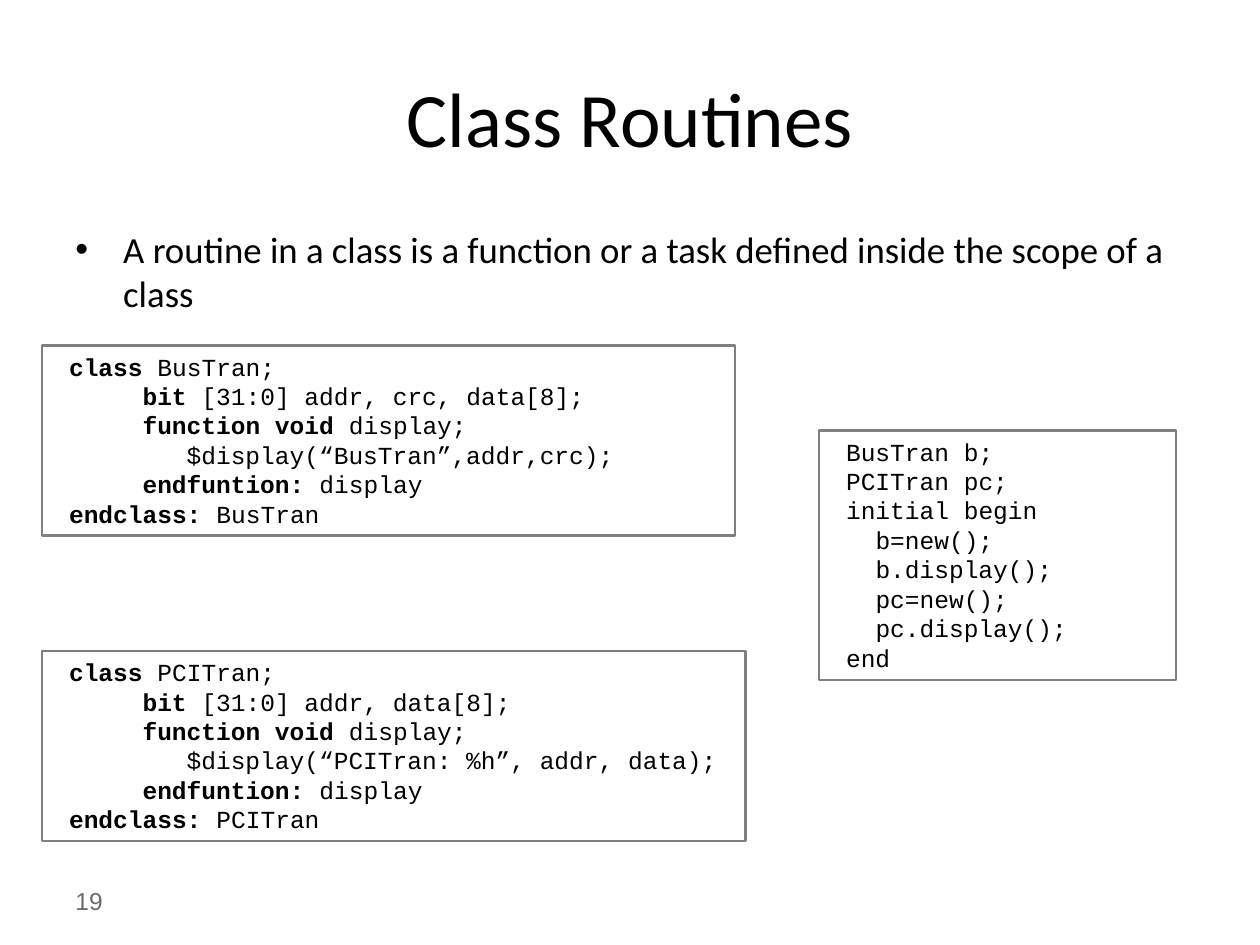
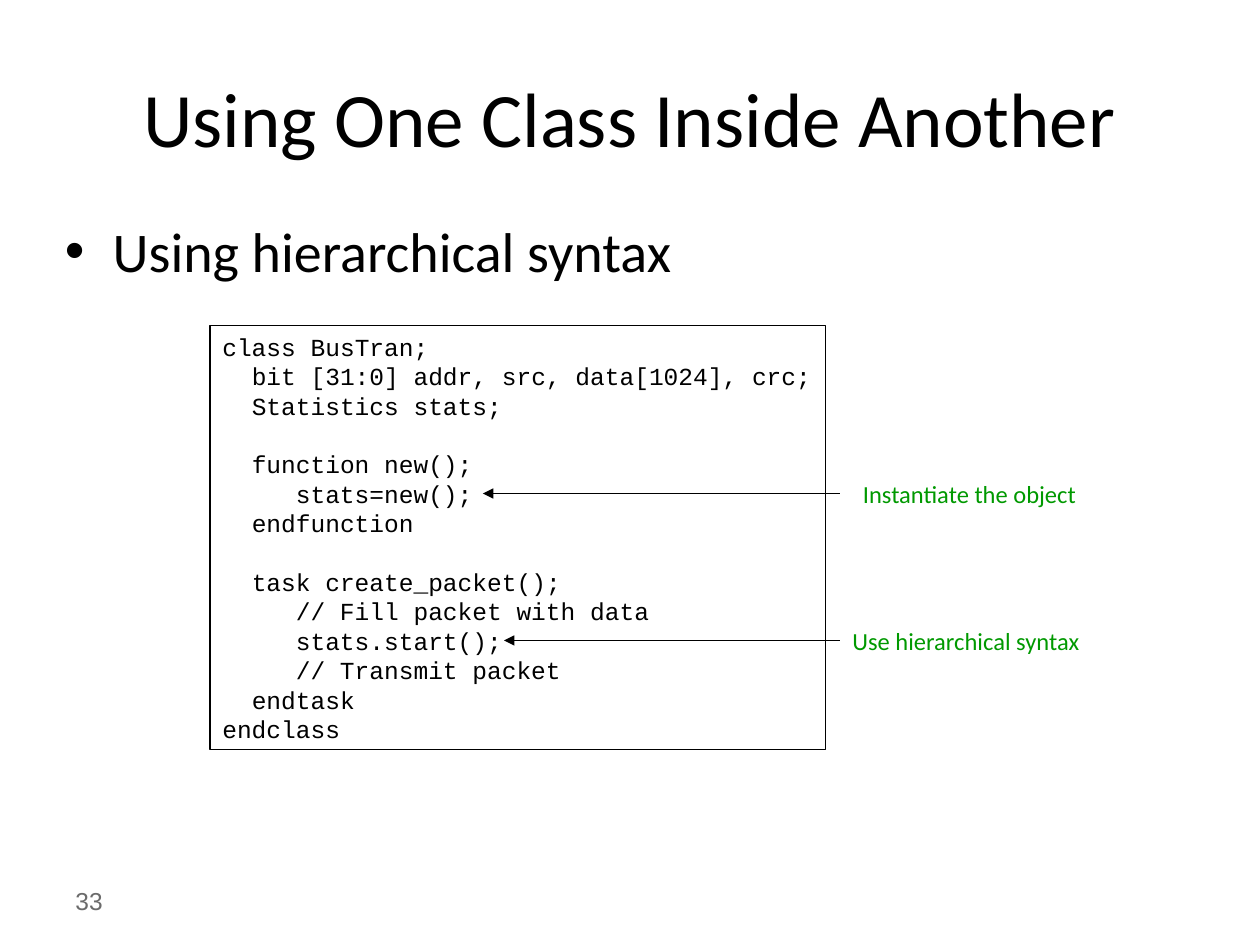
from pptx import Presentation
from pptx import util as u
from pptx.dml.color import RGBColor
from pptx.enum import shapes, text
from pptx.oxml.ns import qn
from lxml import etree

BLACK = RGBColor(0x00, 0x00, 0x00)
GRAY = RGBColor(0x80, 0x80, 0x80)
FOOTER_GRAY = RGBColor(0x6B, 0x6B, 0x6B)
GREEN = RGBColor(0x00, 0x99, 0x00)

COLS, ROWS = 120, 90
CELL = u.Inches(10) // COLS
CODE_SIZE = 14
CHAR_WIDTH = 0.6 * CODE_SIZE
CODE_LINE = 1.2 * CODE_SIZE

BUS_CLASS = [
    (1, "class", " BusTran;"),
    (6, "bit", " [31:0] addr, crc, data[8];"),
    (6, "function void", " display;"),
    (9, "", "$display(“BusTran”,addr,crc);"),
    (6, "endfuntion:", " display"),
    (1, "endclass:", " BusTran"),
]
PCI_CLASS = [
    (1, "class", " PCITran;"),
    (6, "bit", " [31:0] addr, data[8];"),
    (6, "function void", " display;"),
    (9, "", "$display(“PCITran: %h”, addr, data);"),
    (6, "endfuntion:", " display"),
    (1, "endclass:", " PCITran"),
]
TEST_CODE = [
    (1, "", "BusTran b;"),
    (1, "", "PCITran pc;"),
    (1, "", "initial begin"),
    (3, "", "b=new();"),
    (3, "", "b.display();"),
    (3, "", "pc=new();"),
    (3, "", "pc.display();"),
    (1, "", "end"),
]
STATS_CLASS = [
    (0, "", "class BusTran;"),
    (2, "", "bit [31:0] addr, src, data[1024], crc;"),
    (2, "", "Statistics stats;"),
    (2, "", "function new();"),
    (5, "", "stats=new();"),
    (2, "", "endfunction"),
    (2, "", "task create_packet();"),
    (5, "", "// Fill packet with data"),
    (5, "", "stats.start();"),
    (5, "", "// Transmit packet"),
    (2, "", "endtask"),
    (0, "", "endclass"),
]


def grid(*cells):
    return [u.Emu(round(c * CELL)) for c in cells]


def style_run(r, font, size, color, bold=False):
    r.font.name = font
    r.font.size = u.Pt(size)
    r.font.color.rgb = color
    r.font.bold = bold


def add_text(s, box, words, font, size, color, anchor=text.MSO_ANCHOR.TOP):
    sp = s.shapes.add_textbox(*grid(*box))
    tf = sp.text_frame
    tf.word_wrap = True
    tf.vertical_anchor = anchor
    tf.text = words
    style_run(tf.paragraphs[0].runs[0], font, size, color)
    return sp


def add_frame(prs, title, number):
    s = prs.slides.add_slide(prs.slide_layouts[6])
    middle = text.MSO_ANCHOR.MIDDLE
    add_text(s, (6, 83.4, 28, 4.8), number, "Arial", 14, FOOTER_GRAY, middle)
    sp = add_text(s, (6, 3.6, 108, 15), title, "Calibri", 44, BLACK, middle)
    sp.text_frame.paragraphs[0].alignment = text.PP_ALIGN.CENTER
    return s


def add_bullet(s, box, words, size):
    sp = add_text(s, box, words, "Calibri", size, BLACK)
    pPr = sp.text_frame.paragraphs[0]._p.get_or_add_pPr()
    indent = u.Inches(0.38)
    pPr.set("marL", str(indent))
    pPr.set("indent", str(-indent))
    etree.SubElement(pPr, qn("a:buFont")).set("typeface", "Arial")
    etree.SubElement(pPr, qn("a:buChar")).set("char", "•")


def add_code(s, box, lines, color=GRAY, weight=1.25, gaps=()):
    sp = s.shapes.add_shape(shapes.MSO_SHAPE.RECTANGLE, *grid(*box))
    sp.shadow.inherit = False
    sp.fill.background()
    sp.line.color.rgb = color
    sp.line.width = u.Pt(weight)
    tf = sp.text_frame
    tf.word_wrap = True
    tf.margin_right = 0
    tf.vertical_anchor = text.MSO_ANCHOR.TOP
    tf.text = "\n".join("" for _ in lines)
    for p, (indent, keyword, rest) in zip(tf.paragraphs, lines):
        p.alignment = text.PP_ALIGN.LEFT
        p._p.get_or_add_pPr().set("marL", str(u.Pt(indent * CHAR_WIDTH)))
        if rest in gaps:
            p.space_before = u.Pt(CODE_LINE)
        for words, bold in ((keyword, True), (rest, False)):
            if words:
                r = p.add_run()
                r.text = words
                style_run(r, "Courier New", CODE_SIZE, BLACK, bold)


def add_callout(s, box, words, tip):
    label = add_text(s, box, words, "Calibri", 14, GREEN)
    left, top, _, height = box
    y = top + height / 2
    arrow = s.shapes.add_connector(shapes.MSO_CONNECTOR.STRAIGHT, *grid(80, y, tip, y))
    if left == 80:
        arrow.begin_connect(label, 1)
    arrow.line.color.rgb = BLACK
    arrow.line.width = u.Pt(0.75)
    etree.SubElement(arrow.line._get_or_add_ln(), qn("a:tailEnd")).set("type", "triangle")
    etree.SubElement(arrow._element.spPr, qn("a:effectLst"))


def build_routines(prs):
    s = add_frame(prs, "Class Routines", "19")
    add_bullet(s, (6, 21, 108, 59.4),
               "A routine in a class is a function or a task defined inside the scope of a class", 21)
    add_code(s, (4, 32.9, 66, 18.1), BUS_CLASS)
    add_code(s, (4, 62, 67, 18.1), PCI_CLASS)
    add_code(s, (78, 41, 34, 23.8), TEST_CODE)


def build_nested_class(prs):
    s = add_frame(prs, "Using One Class Inside Another", "33")
    add_bullet(s, (5, 20, 108, 59.4), "Using hierarchical syntax", 32)
    add_code(s, (20, 31, 58.6, 40.4), STATS_CLASS, BLACK, 0.75,
             gaps=("function new();", "task create_packet();"))
    add_callout(s, (80, 59, 26.5, 4), "Use hierarchical syntax", 48)
    add_callout(s, (81, 45, 24, 4), "Instantiate the object", 46)


def main():
    prs = Presentation()
    prs.slide_width, prs.slide_height = grid(COLS, ROWS)
    build_routines(prs)
    build_nested_class(prs)
    prs.save("out.pptx")


if __name__ == "__main__":
    main()
